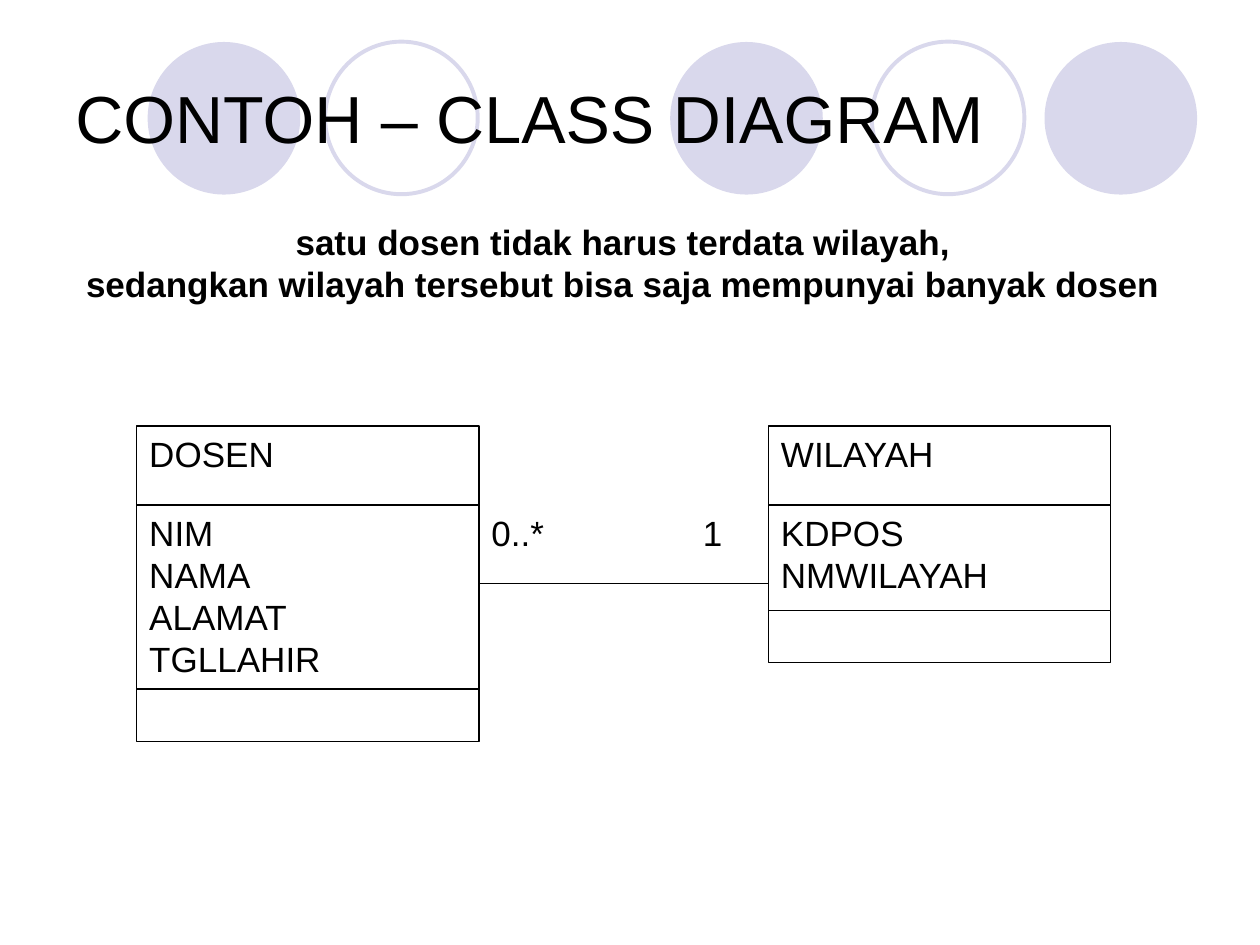
from dataclasses import dataclass

from lxml import etree
from pptx import Presentation
from pptx.dml.color import RGBColor
from pptx.enum import shapes, text
from pptx.oxml import ns
from pptx.util import Pt

FONT = "Arial"
BLACK, WHITE, LAVENDER = "000000", "FFFFFF", "D9D8EC"
CIRCLE_SIZE = 87.2
CLASS_TOP, CLASS_WIDTH = 243.4, 195.6
HEADER_HEIGHT, OPERATIONS_HEIGHT = 45.2, 30
ATTRIBUTES_TOP = CLASS_TOP + HEADER_HEIGHT
ASSOCIATION_Y = 333.6


@dataclass
class Circle:
    left: float
    top: float
    filled: bool


@dataclass
class UmlClass:
    name: str
    attributes: list[str]
    left: float
    attributes_height: float


@dataclass
class Label:
    lines: list[str]
    left: float
    top: float
    width: float
    height: float
    size: float = 20
    bold: bool = False
    align: text.PP_ALIGN = text.PP_ALIGN.LEFT
    anchor: text.MSO_ANCHOR = text.MSO_ANCHOR.TOP


CIRCLES = [
    Circle(383, 24, True),
    Circle(596.9, 24, True),
    Circle(84.4, 24, True),
    Circle(498.2, 23.8, False),
    Circle(185.8, 23.8, False),
]
DOSEN = UmlClass("DOSEN", ["NIM", "NAMA", "ALAMAT", "TGLLAHIR"], 78.2, 105.2)
WILAYAH = UmlClass("WILAYAH", ["KDPOS", "NMWILAYAH"], 439.2, 60.2)
ASSOCIATION_LEFT = DOSEN.left + CLASS_WIDTH
LABELS = [
    Label(["CONTOH – CLASS DIAGRAM"], 36, 21.6, 648, 90, size=38,
          anchor=text.MSO_ANCHOR.MIDDLE),
    Label(["satu dosen tidak harus terdata wilayah,",
           "sedangkan wilayah tersebut bisa saja mempunyai banyak dosen"],
          0, 122.4, 712, 55.4, bold=True, align=text.PP_ALIGN.CENTER),
    Label(["0..*"], ASSOCIATION_LEFT, ATTRIBUTES_TOP, 60.5, 30.2),
    Label(["1"], 394.6, ATTRIBUTES_TOP, 30.2, 30.2),
]


def color(hex_code: str) -> RGBColor:
    return RGBColor.from_string(hex_code)


def write(frame, lines: list[str], size: float = 20, bold: bool = False,
          align=text.PP_ALIGN.LEFT, anchor=text.MSO_ANCHOR.TOP) -> None:
    frame.word_wrap = True
    frame.vertical_anchor = anchor
    frame.text = "\n".join(lines)
    for paragraph in frame.paragraphs:
        paragraph.alignment = align
        for run in paragraph.runs:
            run.font.name = FONT
            run.font.size = Pt(size)
            run.font.bold = bold
            run.font.color.rgb = color(BLACK)


def draw_circle(slide, circle: Circle) -> None:
    disc = slide.shapes.add_shape(
        shapes.MSO_SHAPE.OVAL, Pt(circle.left), Pt(circle.top),
        Pt(CIRCLE_SIZE), Pt(CIRCLE_SIZE))
    disc.shadow.inherit = False
    if circle.filled:
        disc.fill.solid()
        disc.fill.fore_color.rgb = color(LAVENDER)
        disc.line.fill.background()
    else:
        disc.fill.background()
        disc.line.color.rgb = color(LAVENDER)
        disc.line.width = Pt(2.25)


def draw_label(slide, label: Label) -> None:
    box = slide.shapes.add_textbox(
        Pt(label.left), Pt(label.top), Pt(label.width), Pt(label.height))
    write(box.text_frame, label.lines, label.size, label.bold,
          label.align, label.anchor)


def draw_class(slide, uml: UmlClass) -> None:
    """Stack the name, attribute and operation compartments."""
    top = CLASS_TOP
    for lines, height in [([uml.name], HEADER_HEIGHT),
                          (uml.attributes, uml.attributes_height),
                          ([], OPERATIONS_HEIGHT)]:
        compartment = slide.shapes.add_shape(
            shapes.MSO_SHAPE.RECTANGLE, Pt(uml.left), Pt(top),
            Pt(CLASS_WIDTH), Pt(height))
        compartment.shadow.inherit = False
        compartment.fill.solid()
        compartment.fill.fore_color.rgb = color(WHITE)
        compartment.line.color.rgb = color(BLACK)
        compartment.line.width = Pt(0.75)
        if lines:
            write(compartment.text_frame, lines)
        top += height


def draw_association(slide) -> None:
    association = slide.shapes.add_connector(
        shapes.MSO_CONNECTOR.STRAIGHT, Pt(ASSOCIATION_LEFT), Pt(ASSOCIATION_Y),
        Pt(WILAYAH.left), Pt(ASSOCIATION_Y))
    association.line.color.rgb = color(BLACK)
    association.line.width = Pt(0.75)
    etree.SubElement(association._element.spPr, ns.qn("a:effectLst"))


def main() -> None:
    deck = Presentation()
    deck.slide_width, deck.slide_height = Pt(720), Pt(540)
    slide = deck.slides.add_slide(deck.slide_layouts[6])
    for circle in CIRCLES:
        draw_circle(slide, circle)
    for uml in (DOSEN, WILAYAH):
        draw_class(slide, uml)
    draw_association(slide)
    for label in LABELS:
        draw_label(slide, label)
    deck.save("out.pptx")


if __name__ == "__main__":
    main()
